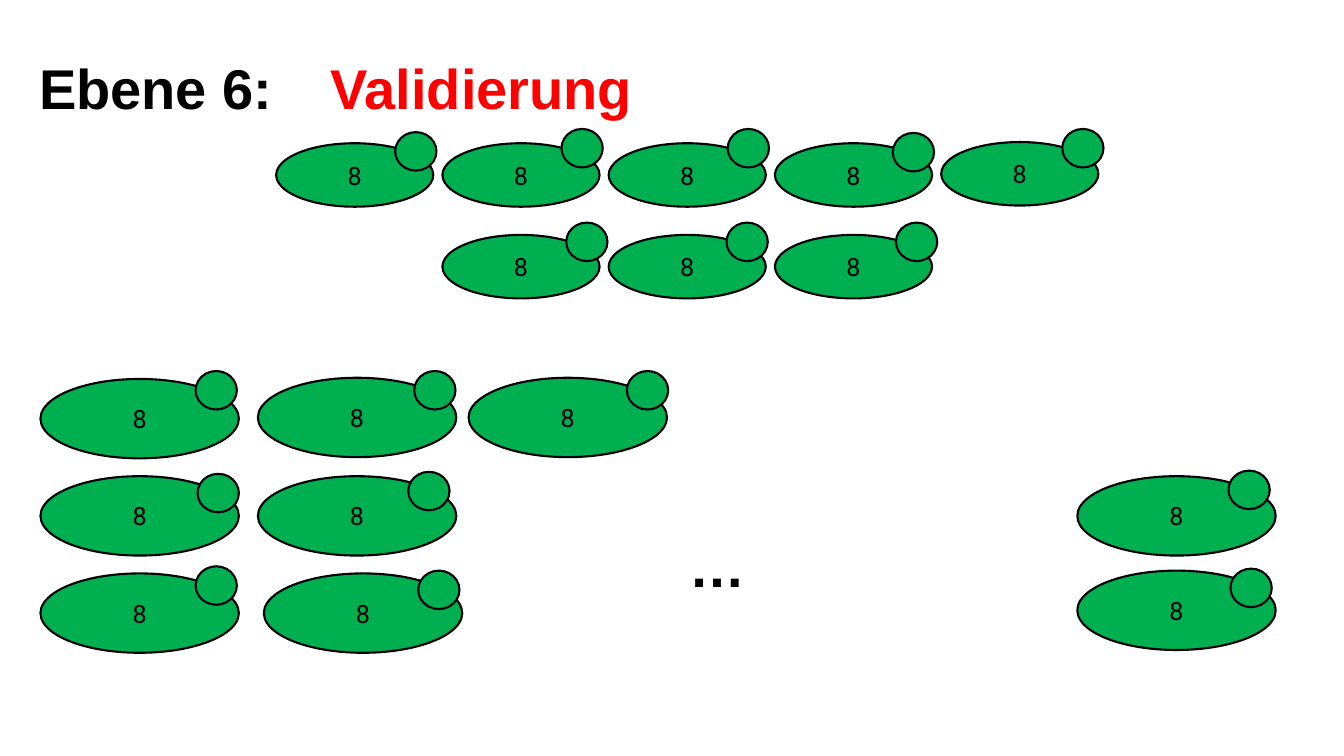
import pptx
import pptx.util
import pptx.dml.color
import pptx.enum.shapes
import pptx.enum.text

Cm, Pt = pptx.util.Cm, pptx.util.Pt
ALIGN = pptx.enum.text.PP_ALIGN
MIDDLE = pptx.enum.text.MSO_ANCHOR.MIDDLE
OVAL = pptx.enum.shapes.MSO_SHAPE.OVAL

COLORS = {"black": "000000", "red": "FF0000", "green": "00B050"}

HEADINGS = [
    ("Ebene 6:", "black", ALIGN.LEFT, (0.74, 1.3, 6.68, 2)),
    ("…", "black", ALIGN.LEFT, (17.12, 13.34, 6.48, 2)),
    ("Validierung", "red", ALIGN.CENTER, (7.09, 0.66, 10.08, 3.28)),
]

UNIT_LABEL = "8"
BEAD_SIZE = (1.04, 0.97)
SMALL_SIZE, LARGE_SIZE = (3.96, 1.6), (5, 2)
SMALL_START, SMALL_STEP = 6.96, 4.19

# column, body top, bead left, bead top
SMALL_UNITS = [
    (0, 3.61, 9.96, 3.33),
    (1, 3.61, 14.15, 3.25),
    (2, 3.61, 18.34, 3.25),
    (3, 3.61, 22.5, 3.35),
    (4, 3.58, 26.77, 3.25),
    (1, 5.92, 14.27, 5.61),
    (2, 5.92, 18.31, 5.61),
    (3, 5.92, 22.58, 5.61),
]

# body left, body top, bead left, bead top
LARGE_UNITS = [
    (1.02, 9.55, 4.93, 9.35),
    (6.5, 9.52, 10.44, 9.35),
    (11.81, 9.52, 15.8, 9.35),
    (1.02, 12, 4.98, 11.94),
    (6.5, 12, 10.29, 11.89),
    (27.15, 12, 30.96, 11.86),
    (1.02, 14.45, 4.93, 14.27),
    (6.65, 14.45, 10.54, 14.38),
    (27.15, 14.38, 31.01, 14.33),
]


def rgb(name):
    return pptx.dml.color.RGBColor.from_string(COLORS[name])


def write(shape, text, font, size, color, align, bold=False):
    frame = shape.text_frame
    frame.word_wrap = True
    frame.vertical_anchor = MIDDLE
    paragraph = frame.paragraphs[0]
    paragraph.alignment = align
    run = paragraph.add_run()
    run.text = text
    run.font.name = font
    run.font.size = Pt(size)
    run.font.bold = bold
    run.font.color.rgb = rgb(color)
    return paragraph


def add_oval(slide, left, top, size):
    oval = slide.shapes.add_shape(OVAL, *map(Cm, (left, top, *size)))
    oval.shadow.inherit = False
    oval.fill.solid()
    oval.fill.fore_color.rgb = rgb("green")
    oval.line.color.rgb = rgb("black")
    oval.line.width = Pt(1.5)
    return oval


def add_unit(slide, size, left, top, bead_left, bead_top):
    body = add_oval(slide, left, top, size)
    write(body, UNIT_LABEL, "Roboto", 18, "black", ALIGN.CENTER)
    add_oval(slide, bead_left, bead_top, BEAD_SIZE)


def main():
    deck = pptx.Presentation()
    deck.slide_width, deck.slide_height = Cm(33.87), Cm(19.05)
    slide = deck.slides.add_slide(deck.slide_layouts[6])

    for column, *place in SMALL_UNITS:
        add_unit(slide, SMALL_SIZE, SMALL_START + column * SMALL_STEP, *place)
    for place in LARGE_UNITS:
        add_unit(slide, LARGE_SIZE, *place)
    for text, color, align, box in HEADINGS:
        heading = slide.shapes.add_textbox(*map(Cm, box))
        paragraph = write(heading, text, "Arial", 40, color, align, True)
        paragraph.line_spacing = 0.9

    deck.save("out.pptx")


if __name__ == "__main__":
    main()
